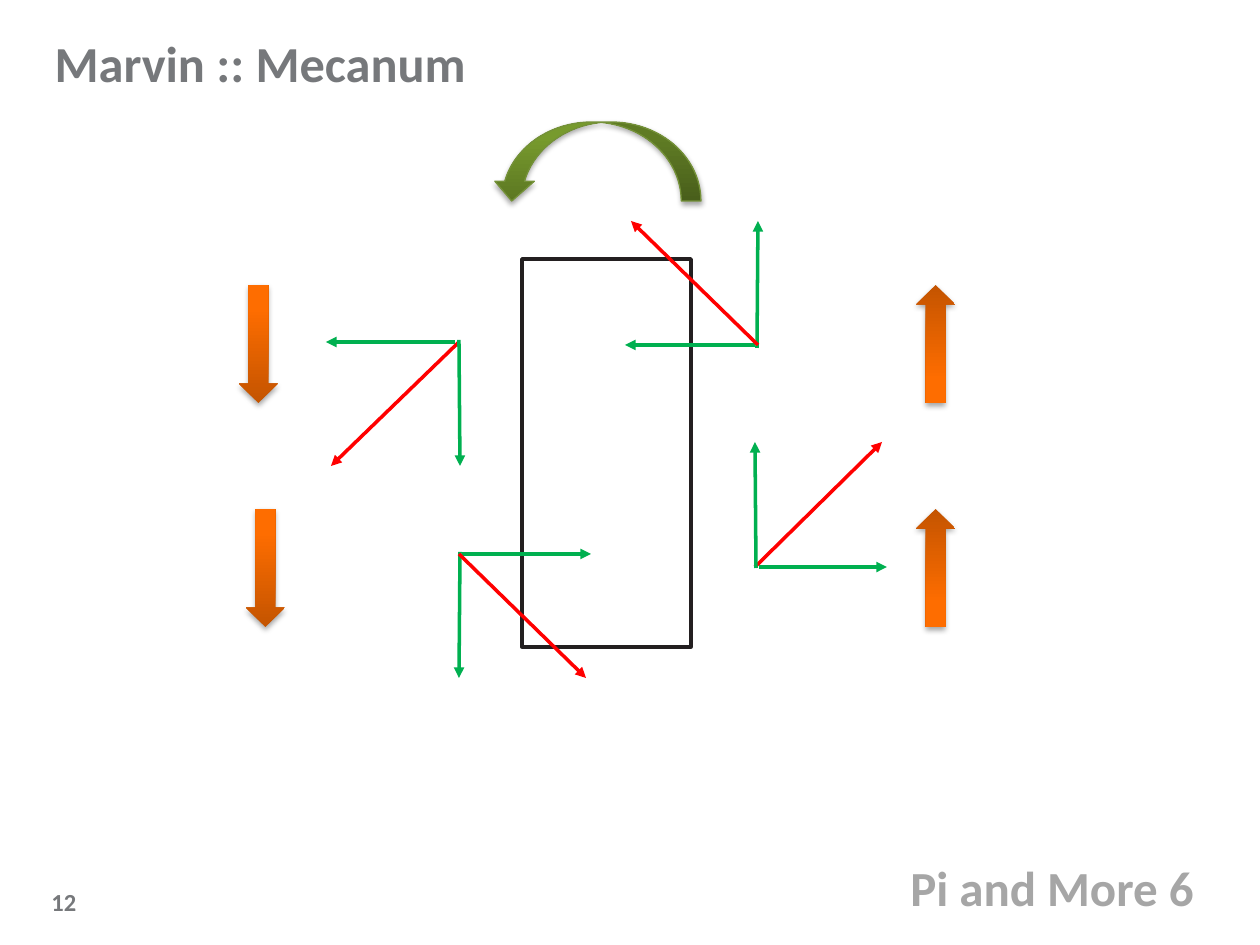
from lxml.etree import SubElement
from pptx import Presentation
from pptx.dml.color import RGBColor
from pptx.enum.shapes import MSO_CONNECTOR, MSO_SHAPE
from pptx.enum.text import MSO_ANCHOR, PP_ALIGN
from pptx.oxml.ns import qn
from pptx.util import Pt

GREY = RGBColor(0x76, 0x78, 0x7B)
LIGHT_GREY = RGBColor(0xA6, 0xA6, 0xA6)
BLACK = RGBColor(0x23, 0x1F, 0x20)
WHITE = RGBColor(0xFF, 0xFF, 0xFF)
GREEN = RGBColor(0x00, 0xB0, 0x50)
RED = RGBColor(0xFF, 0x00, 0x00)
ORANGES = (RGBColor(0xC4, 0x54, 0x00), RGBColor(0xFE, 0x6D, 0x00))
OLIVES = (RGBColor(0x5C, 0x77, 0x22), RGBColor(0x77, 0x9A, 0x2D))
OLIVE_EDGE = RGBColor(0x74, 0x91, 0x38)

TITLE = ("Marvin :: Mecanum", (42, 26, 1176, 73))
PAGE_NUMBER = ("12", (39, 881, 129, 42))
EVENT = ("Pi and More 6", (898, 851, 316, 72))
ROBOT = (522, 259, 169, 388)
TURN = (492, 122, 209, 79)
WHEEL_SIZE = (39, 118)
WHEELS = [
    ((916, 285), 180),
    ((916, 509), 180),
    ((239, 285), 0),
    ((246, 509), 0),
]
FORCES = {
    "rear left": [
        (GREEN, (460, 552), (459, 678)),
        (GREEN, (462, 554), (591, 554)),
        (RED, (459, 554), (586, 678)),
    ],
    "front left": [
        (RED, (459, 342), (331, 466)),
        (GREEN, (455, 342), (326, 342)),
        (GREEN, (459, 340), (460, 466)),
    ],
    "front right": [
        (GREEN, (757, 348), (758, 221)),
        (GREEN, (755, 345), (625, 345)),
        (RED, (758, 345), (631, 221)),
    ],
    "rear right": [
        (RED, (755, 567), (882, 442)),
        (GREEN, (759, 567), (887, 567)),
        (GREEN, (756, 568), (755, 442)),
    ],
}


def px(*lengths):
    return [round(length * 914400 / 126) for length in lengths]


def write(holder, text, size, color, anchor=MSO_ANCHOR.TOP, wrap=True):
    frame = holder.text_frame
    frame.word_wrap = wrap
    frame.vertical_anchor = anchor
    paragraph = frame.paragraphs[0]
    paragraph.text = text
    paragraph.alignment = PP_ALIGN.LEFT
    font = paragraph.font
    font.name, font.size, font.bold = "Calibri", Pt(size), True
    font.color.rgb = color


def add_shadow(shape):
    effects = SubElement(shape.element.spPr, qn("a:effectLst"))
    outer = SubElement(effects, qn("a:outerShdw"), blurRad="40000",
                       dist="23000", dir="5400000", rotWithShape="0")
    black = SubElement(outer, qn("a:srgbClr"), val="000000")
    SubElement(black, qn("a:alpha"), val="35000")


def add_block_arrow(slide, kind, box, colors, edge=None):
    arrow = slide.shapes.add_shape(kind, *px(*box))
    arrow.fill.gradient()
    arrow.fill.gradient_angle = 90
    for stop, color, position in zip(arrow.fill.gradient_stops, colors, (0, 0.8)):
        stop.color.rgb = color
        stop.position = position
    if edge is None:
        arrow.line.fill.background()
    else:
        arrow.line.color.rgb = edge
        arrow.line.width = Pt(0.75)
    add_shadow(arrow)
    return arrow


def add_force(slide, color, start, end):
    force = slide.shapes.add_connector(MSO_CONNECTOR.STRAIGHT, *px(*start, *end))
    force.line.color.rgb = color
    force.line.width = Pt(2)
    SubElement(force.line._get_or_add_ln(), qn("a:tailEnd"), type="triangle")
    SubElement(force._element.spPr, qn("a:effectLst"))


def main():
    presentation = Presentation()
    presentation.slide_width, presentation.slide_height = px(1260, 945)
    slide = presentation.slides.add_slide(presentation.slide_layouts[5])

    text, box = TITLE
    title = slide.shapes.title
    title.left, title.top, title.width, title.height = px(*box)
    write(title, text, 28.8, GREY, anchor=MSO_ANCHOR.MIDDLE)

    text, box = PAGE_NUMBER
    write(slide.shapes.add_textbox(*px(*box)), text, 14, GREY)
    text, box = EVENT
    write(slide.shapes.add_textbox(*px(*box)), text, 28, LIGHT_GREY, wrap=False)

    robot = slide.shapes.add_shape(MSO_SHAPE.RECTANGLE, *px(*ROBOT))
    robot.shadow.inherit = False
    robot.fill.solid()
    robot.fill.fore_color.rgb = WHITE
    robot.line.color.rgb = BLACK
    robot.line.width = Pt(2)

    for corner, rotation in WHEELS:
        wheel = add_block_arrow(slide, MSO_SHAPE.DOWN_ARROW, corner + WHEEL_SIZE, ORANGES)
        wheel.rotation = rotation

    for forces in FORCES.values():
        for color, start, end in forces:
            add_force(slide, color, start, end)

    turn = add_block_arrow(slide, MSO_SHAPE.CURVED_DOWN_ARROW, TURN, OLIVES, edge=OLIVE_EDGE)
    turn.element.spPr.xfrm.set("flipH", "1")

    presentation.save("out.pptx")


if __name__ == "__main__":
    main()
